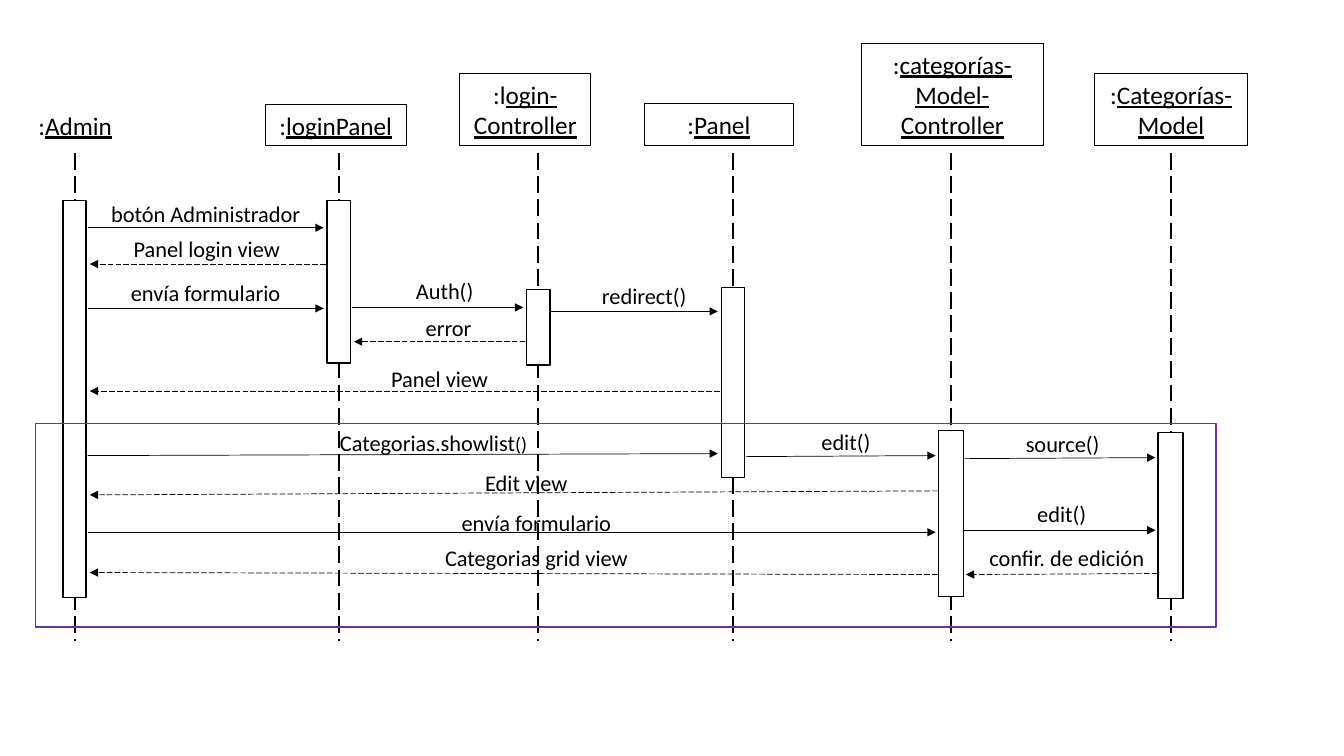
from dataclasses import dataclass
from typing import NamedTuple

from lxml import etree
from pptx import Presentation
from pptx.dml.color import RGBColor
from pptx.enum.dml import MSO_LINE
from pptx.enum.shapes import MSO_CONNECTOR, MSO_SHAPE
from pptx.enum.text import MSO_ANCHOR, PP_ALIGN
from pptx.oxml.ns import qn
from pptx.util import Inches, Pt

RECTANGLE = MSO_SHAPE.RECTANGLE
STRAIGHT = MSO_CONNECTOR.STRAIGHT
LONG_DASH = MSO_LINE.LONG_DASH
CENTER = PP_ALIGN.CENTER
TOP = MSO_ANCHOR.TOP
MIDDLE = MSO_ANCHOR.MIDDLE

WIDTH, HEIGHT = Inches(13.33), Inches(7.5)
COLUMNS, ROWS = 133.3, 75
HEADER_BOTTOM = 14.4
LIFELINE_TOP, LIFELINE_BOTTOM = 15.2, 63.6
LABEL_HEIGHT = 3.7
START_GAP, END_GAP = 1.3, 1.5


@dataclass(frozen=True)
class Theme:
    font: str = "Calibri"
    ink: RGBColor = RGBColor(0x00, 0x00, 0x00)
    paper: RGBColor = RGBColor(0xFF, 0xFF, 0xFF)
    accent: RGBColor = RGBColor(0x70, 0x30, 0xA0)
    header_size: int = 18
    label_size: int = 16
    small_size: int = 14
    lifeline_width: float = 1.5
    bar_width: float = 1
    header_width: float = 0.75
    message_width: float = 0.5


THEME = Theme()


class Lane(NamedTuple):
    center: float
    prefix: str
    name: str
    header_left: float
    header_width: float
    header_height: float
    bar_top: float
    bar_width: float
    bar_height: float
    boxed: bool = True


class Message(NamedTuple):
    sender: str
    receiver: str
    start_row: float
    end_row: float
    text: str
    label_center: float
    label_top: float
    label_width: float
    suffix: str = ""


LANES = {
    "admin": Lane(7.4, ":", "Admin", 0.7, 13.5, 4, 19.9, 2.3, 39.4, False),
    "login": Lane(33.6, ":", "loginPanel", 26.3, 14, 4, 19.9, 2.3, 16.1),
    "auth": Lane(53.4, ":l", "ogin-Controller", 45.6, 13, 7.1, 28.7, 2.3, 7.5),
    "panel": Lane(72.7, ":", "Panel", 63.9, 14.8, 4.1, 28.5, 2.3, 18.9),
    "control": Lane(94.3, ":", "categorías-Model-Controller", 85.4, 18.1, 10.1, 42.7, 2.5, 16.5),
    "model": Lane(116.1, ":", "Categorías-Model", 108.6, 15.1, 7.1, 42.9, 2.5, 16.5),
}

CALLS = [
    Message("admin", "login", 22.6, 22.6, "botón Administrador", 20.4, 19.4, 29),
    Message("admin", "login", 30.6, 30.6, "envía formulario", 20.4, 27.2, 18.6),
    Message("login", "auth", 30.5, 30.5, "Auth()", 44.1, 27, 22.8),
    Message("auth", "panel", 30.9, 30.9, "redirect()", 63.9, 27.5, 22.8),
    Message("admin", "panel", 45.2, 45, "Categorias.showlist", 43, 42.1, 36.7, "()"),
    Message("panel", "control", 45.3, 45.2, "edit()", 83.9, 42, 12.2),
    Message("control", "model", 45.5, 45.4, "source()", 105.4, 42.2, 12.2),
    Message("admin", "control", 52.8, 52.8, "envía formulario", 53.2, 50, 36.7),
    Message("control", "model", 52.6, 52.6, "edit()", 105.3, 49.1, 22.8),
]

REPLIES = [
    Message("login", "admin", 26.2, 26.2, "Panel login view", 20.5, 22.8, 24.5),
    Message("auth", "login", 33.9, 33.9, "error", 44.5, 30.7, 16.6),
    Message("panel", "admin", 38.8, 38.8, "Panel view", 43.6, 35.7, 16.6),
    Message("control", "admin", 48.7, 49.1, "Edit view", 52.2, 46.1, 29.7),
    Message("model", "control", 56.9, 57, "confir. de edición", 105.8, 53.5, 20.9),
    Message("control", "admin", 57, 56.8, "Categorias grid view", 53.2, 53.5, 23.9),
]


def across(columns):
    return round(WIDTH * columns / COLUMNS)


def down(rows):
    return round(HEIGHT * rows / ROWS)


def place(left, top, width, height):
    return across(left), down(top), across(width), down(height)


def write(box, text, size, anchor):
    frame = box.text_frame
    frame.word_wrap = True
    frame.vertical_anchor = anchor
    para = frame.paragraphs[0]
    para.alignment = CENTER
    para.font.name = THEME.font
    para.font.size = Pt(size)
    para.font.color.rgb = THEME.ink
    para.add_run().text = text
    return para


def add_box(page, area, color, width, fill=None):
    box = page.shapes.add_shape(RECTANGLE, *place(*area))
    box.shadow.inherit = False
    if fill is None:
        box.fill.background()
    else:
        box.fill.solid()
        box.fill.fore_color.rgb = fill
    box.line.color.rgb = color
    box.line.width = Pt(width)
    return box


def add_line(page, start, end, width, dashed=False, arrow=False):
    line = page.shapes.add_connector(
        STRAIGHT, across(start[0]), down(start[1]), across(end[0]), down(end[1]))
    line.line.color.rgb = THEME.ink
    line.line.width = Pt(width)
    if dashed:
        line.line.dash_style = LONG_DASH
    if arrow:
        etree.SubElement(line.line._get_or_add_ln(), qn("a:tailEnd"), type="triangle")
    etree.SubElement(line._element.spPr, qn("a:effectLst"))


def add_lane(page, lane):
    area = (lane.header_left, HEADER_BOTTOM - lane.header_height,
            lane.header_width, lane.header_height)
    if lane.boxed:
        header = add_box(page, area, THEME.ink, THEME.header_width)
    else:
        header = page.shapes.add_textbox(*place(*area))
    para = write(header, lane.prefix, THEME.header_size, MIDDLE)
    name = para.add_run()
    name.text = lane.name
    name.font.underline = True
    add_line(page, (lane.center, LIFELINE_TOP), (lane.center, LIFELINE_BOTTOM),
             THEME.lifeline_width, dashed=True)
    bar = (lane.center - lane.bar_width / 2, lane.bar_top, lane.bar_width, lane.bar_height)
    add_box(page, bar, THEME.ink, THEME.bar_width, THEME.paper)


def add_message(page, message, dashed):
    start = LANES[message.sender].center
    end = LANES[message.receiver].center
    heading = 1 if end > start else -1
    add_line(page, (start + heading * START_GAP, message.start_row),
             (end - heading * END_GAP, message.end_row),
             THEME.message_width, dashed, arrow=True)
    label = page.shapes.add_textbox(*place(
        message.label_center - message.label_width / 2, message.label_top,
        message.label_width, LABEL_HEIGHT))
    para = write(label, message.text, THEME.label_size, TOP)
    if message.suffix:
        span = para.add_run()
        span.text = message.suffix
        span.font.size = Pt(THEME.small_size)


def main():
    deck = Presentation()
    deck.slide_width, deck.slide_height = WIDTH, HEIGHT
    page = deck.slides.add_slide(deck.slide_layouts[6])
    for lane in LANES.values():
        add_lane(page, lane)
    for message in CALLS:
        add_message(page, message, dashed=False)
    for message in REPLIES:
        add_message(page, message, dashed=True)
    add_box(page, (3.5, 42, 117.1, 20.2), THEME.accent, THEME.bar_width)
    deck.save("out.pptx")


if __name__ == "__main__":
    main()
